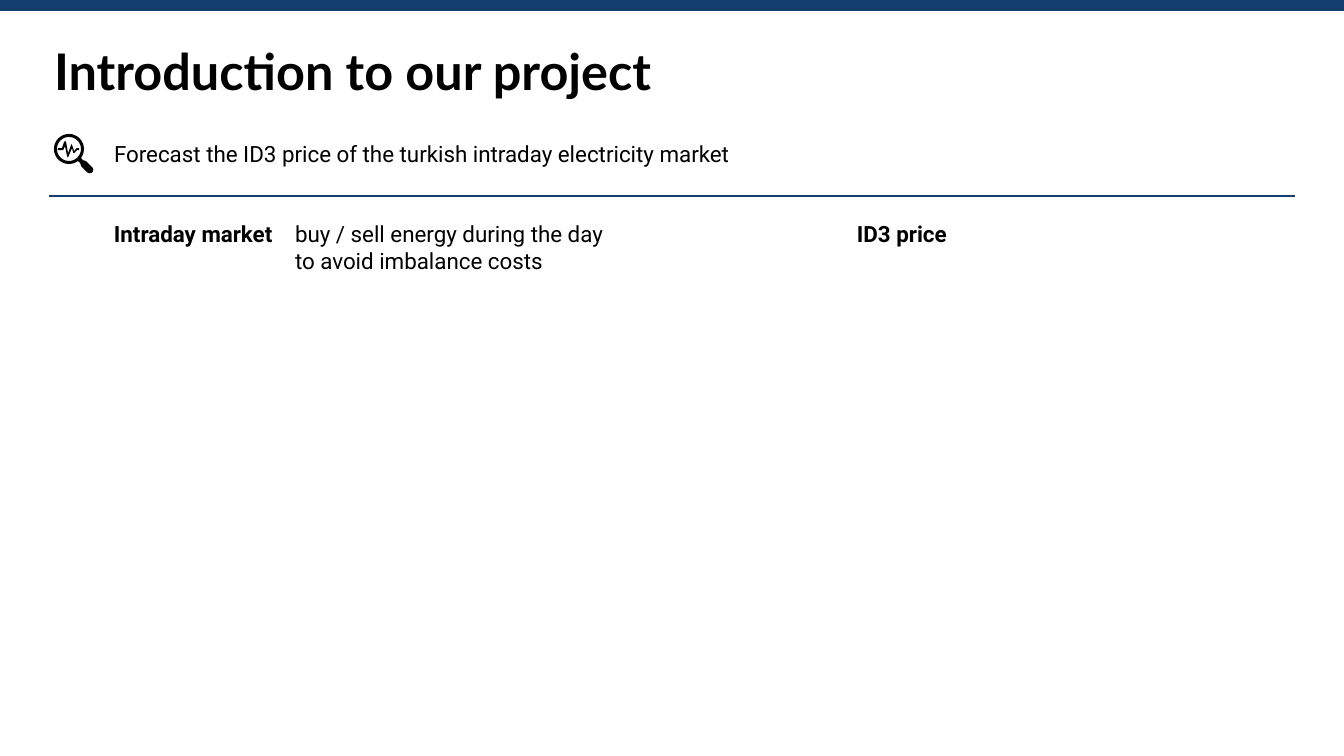
from math import cos, radians, sin

from lxml.etree import SubElement
from pptx import Presentation
from pptx.dml.color import RGBColor
from pptx.enum.shapes import MSO_CONNECTOR, MSO_SHAPE
from pptx.oxml.ns import qn
from pptx.util import Pt

PX = 914400 / 100.8
WIDE, HIGH = 1344, 756
NAVY, BLACK = "123F6E", "000000"

# Pulse line inside the lens, in tenths of a px
PULSE = [(252, 141), (232, 141), (222, 146), (202, 171), (181, 111),
         (176, 102), (171, 111), (141, 192), (121, 81), (111, 71),
         (101, 81), (81, 141), (40, 141), (40, 161), (91, 161),
         (96, 154), (111, 121), (131, 222), (136, 232), (142, 232),
         (146, 222), (181, 141), (191, 187), (202, 192), (232, 161),
         (252, 161)]


def px(n):
    return round(n * PX)


def color(code):
    return RGBColor.from_string(code)


def paint(shape, code):
    shape.shadow.inherit = False
    shape.fill.solid()
    shape.fill.fore_color.rgb = color(code)
    shape.line.fill.background()


def write(slide, box, lines, size=16, font="Roboto", bold=False):
    frame = slide.shapes.add_textbox(*map(px, box)).text_frame
    frame.margin_left = frame.margin_right = 0
    frame.margin_top = frame.margin_bottom = 0
    frame.word_wrap = True
    frame.text = "\n".join(lines)
    for para in frame.paragraphs:
        for run in para.runs:
            run.font.size = Pt(size)
            run.font.name = font
            run.font.bold = bold
            run.font.color.rgb = color(BLACK)


def arc(center, radius, start, end, steps=48):
    turns = [radians(start + (end - start) * i / steps)
             for i in range(steps + 1)]
    return [(round(center + radius * cos(t)), round(center + radius * sin(t)))
            for t in turns]


def draw(group, left, top, *loops):
    first, *rest = loops
    pen = group.shapes.build_freeform(*first[0], scale=PX / 10)
    pen.add_line_segments(first[1:])
    for loop in rest:
        pen.move_to(*loop[0])
        pen.add_line_segments(loop[1:])
    paint(pen.convert_to_shape(px(left), px(top)), BLACK)


def icon(slide, left, top):
    """Magnifier: lens rim with handle, and a pulse line."""
    group = slide.shapes.add_group_shape()
    rim = arc(150, 150, 37, -307)
    neck = [(262, 292), (272, 322)]
    tip = arc(358, 35, 135, -45, 12)
    back = [(322, 272), (292, 262)]
    hole = arc(150, 120, 0, 360)
    draw(group, left, top, rim + neck + tip + back, hole)
    draw(group, left, top, PULSE)


def header(slide, left, top, width):
    # Top band and title
    band = slide.shapes.add_shape(MSO_SHAPE.RECTANGLE, 0, 0, px(WIDE), px(11))
    paint(band, NAVY)
    write(slide, (left + 5, top, 889, 101), ["Introduction to our project"],
          36, "Lato", True)

    # Goal with its icon
    icon(slide, left + 5, top + 94)
    write(slide, (left + 65, top + 100, 640, 40),
          ["Forecast the ID3 price of the turkish intraday electricity market"])

    # Divider
    rule = slide.shapes.add_connector(
        MSO_CONNECTOR.STRAIGHT, px(left), px(top + 156),
        px(left + width), px(top + 156))
    rule.line.color.rgb = color(NAVY)
    rule.line.width = Pt(1)
    SubElement(rule._element.spPr, qn("a:effectLst"))


def terms(slide, left, top):
    for shift, name in ((0, "Intraday market"), (743, "ID3 price")):
        write(slide, (left + shift, top, 170, 39), [name], bold=True)
    write(slide, (left + 181, top, 330, 60),
          ["buy / sell energy during the day", "to avoid imbalance costs"])


def main():
    deck = Presentation()
    deck.slide_width, deck.slide_height = px(WIDE), px(HIGH)
    slide = deck.slides.add_slide(deck.slide_layouts[6])
    header(slide, 49, 40, 1246)
    terms(slide, 114, 220)
    deck.save("out.pptx")


if __name__ == "__main__":
    main()
